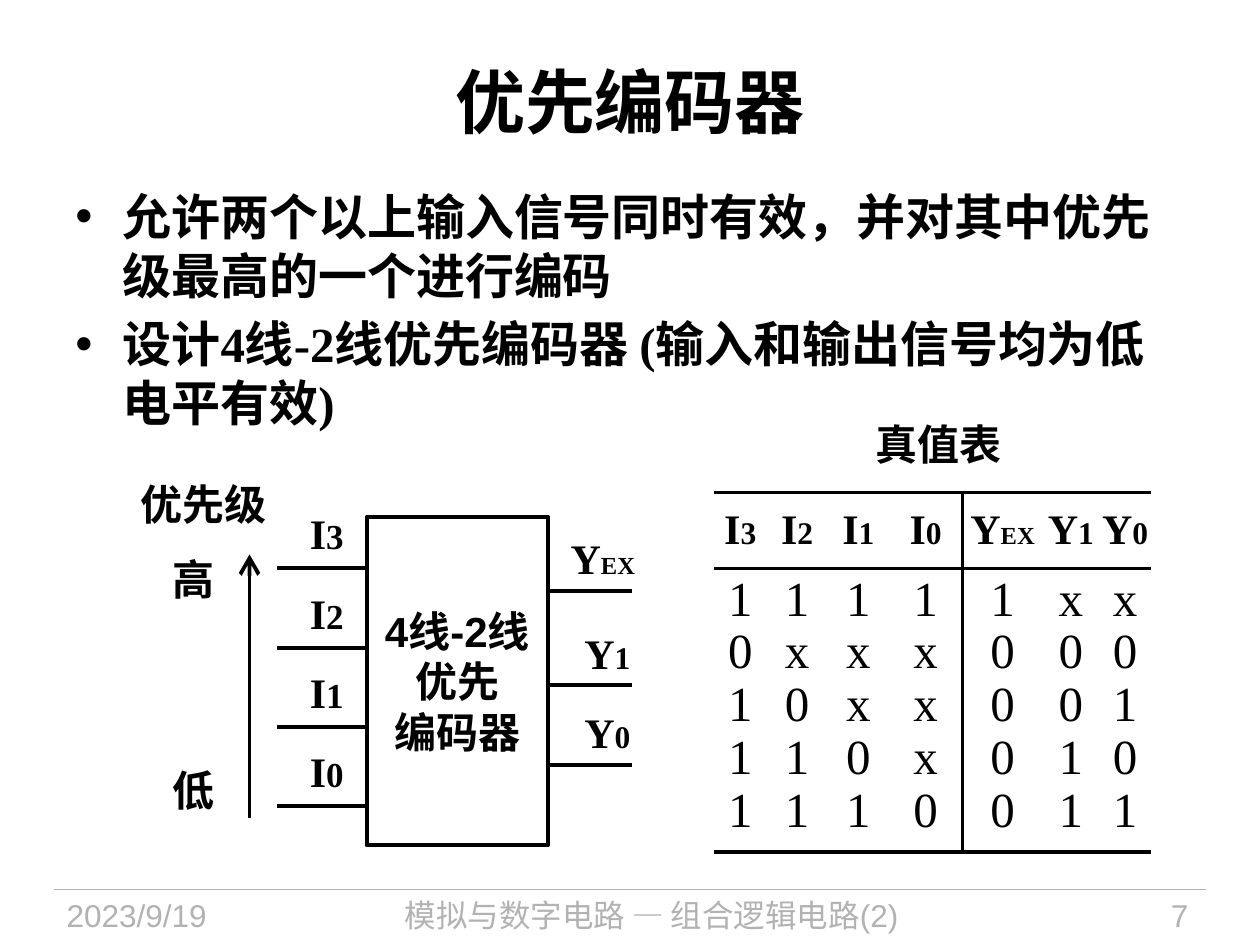
from dataclasses import dataclass

from lxml.etree import SubElement
from pptx import Presentation
from pptx.dml.color import RGBColor
from pptx.enum.shapes import MSO_CONNECTOR, MSO_SHAPE
from pptx.enum.text import MSO_ANCHOR, PP_ALIGN
from pptx.oxml import parse_xml
from pptx.oxml.ns import nsdecls, qn
from pptx.util import Pt


@dataclass(frozen=True)
class Theme:
    ink: RGBColor = RGBColor(0x00, 0x00, 0x00)
    muted: RGBColor = RGBColor(0xB2, 0xB2, 0xB2)
    sans: str = "Arial"
    serif: str = "Times New Roman"
    title: int = 40
    body: int = 28
    label: int = 24
    pin_digit: int = 20
    digit: int = 18
    letters: int = 14
    footer: int = 18
    stroke: float = 2.25
    hairline: float = 0.75


class SlideBuilder:
    def __init__(self, slide, theme):
        self.slide = slide
        self.theme = theme

    def style(self, paragraph, size, font, bold=True, color=None, align=PP_ALIGN.LEFT):
        paragraph.alignment = align
        paragraph.font.size = Pt(size)
        paragraph.font.name = font
        paragraph.font.bold = bold
        paragraph.font.color.rgb = color or self.theme.ink

    def signal(self, paragraph, name, subscript, size, align=PP_ALIGN.LEFT):
        """Write a signal name followed by its smaller index."""
        self.style(paragraph, self.theme.label, self.theme.serif, align=align)
        paragraph.add_run().text = name
        index = paragraph.add_run()
        index.text = subscript
        index.font.size = Pt(size)

    def frame(self, x, y, width, height, wrap=False):
        box = self.slide.shapes.add_textbox(Pt(x), Pt(y), Pt(width), Pt(height))
        box.text_frame.word_wrap = wrap
        return box.text_frame

    def text(self, words, x, y, width, height, size, wrap=False,
             anchor=MSO_ANCHOR.TOP, **style):
        frame = self.frame(x, y, width, height, wrap)
        frame.vertical_anchor = anchor
        frame.text = words
        self.style(frame.paragraphs[0], size, self.theme.sans, **style)

    def bullets(self, items, x, y, width, height):
        frame = self.frame(x, y, width, height, wrap=True)
        frame.text = "\n".join(items)
        for paragraph in frame.paragraphs:
            self.style(paragraph, self.theme.body, self.theme.serif)
            paragraph.space_after = Pt(5.6)
            properties = paragraph._p.get_or_add_pPr()
            properties.set("marL", str(Pt(27)))
            properties.set("indent", str(-Pt(27)))
            defaults = properties.find(qn("a:defRPr"))
            for mark in (f'buFont {nsdecls("a")} typeface="{self.theme.sans}"',
                         f'buChar {nsdecls("a")} char="•"'):
                defaults.addprevious(parse_xml(f"<a:{mark}/>"))

    def line(self, x1, y1, x2, y2, color=None, width=None, arrow=False):
        line = self.slide.shapes.add_connector(
            MSO_CONNECTOR.STRAIGHT, Pt(x1), Pt(y1), Pt(x2), Pt(y2))
        line.line.color.rgb = color or self.theme.ink
        line.line.width = Pt(width or self.theme.stroke)
        if arrow:
            SubElement(line.line._get_or_add_ln(), qn("a:tailEnd"),
                       type="arrow", w="lg", len="lg")
        SubElement(line._element.spPr, qn("a:effectLst"))

    def block(self, lines, x, y, width, height):
        block = self.slide.shapes.add_shape(
            MSO_SHAPE.RECTANGLE, Pt(x), Pt(y), Pt(width), Pt(height))
        block.shadow.inherit = False
        block.fill.background()
        block.line.color.rgb = self.theme.ink
        block.line.width = Pt(self.theme.stroke)
        frame = block.text_frame
        frame.word_wrap = False
        frame.vertical_anchor = MSO_ANCHOR.MIDDLE
        frame.text = "\n".join(lines)
        for paragraph in frame.paragraphs:
            self.style(paragraph, self.theme.label, self.theme.sans, align=PP_ALIGN.CENTER)

    def borders(self, cell, drawn):
        """Rule the named sides (L, R, T, B) of a cell and clear the others."""
        properties = cell._tc.get_or_add_tcPr()
        for position, side in enumerate("LRTB"):
            paint = (f'<a:solidFill><a:srgbClr val="{self.theme.ink}"/></a:solidFill>'
                     if side in drawn else "<a:noFill/>")
            properties.insert(position, parse_xml(
                f'<a:ln{side} {nsdecls("a")} w="{Pt(self.theme.stroke)}">{paint}</a:ln{side}>'))

    def truth_table(self, signals, rows, inputs, x, y, widths, heights):
        table = self.slide.shapes.add_table(
            len(heights), len(widths), Pt(x), Pt(y),
            Pt(sum(widths)), Pt(sum(heights))).table
        table.first_row = table.horz_banding = False
        for column, width in zip(table.columns, widths):
            column.width = Pt(width)
        for row, height in zip(table.rows, heights):
            row.height = Pt(height)
        last = len(rows)
        for r, values in enumerate([signals, *rows]):
            for c, value in enumerate(values):
                cell = table.cell(r, c)
                cell.margin_left = cell.margin_right = cell.margin_bottom = 0
                cell.margin_top = Pt(5 if r == 1 else 0)
                cell.fill.background()
                self.borders(cell, {
                    side for side, shown in (
                        ("L", c == inputs), ("R", c == inputs - 1),
                        ("T", r in (0, 1)), ("B", r in (0, last))) if shown})
                paragraph = cell.text_frame.paragraphs[0]
                if r == 0:
                    cell.vertical_anchor = MSO_ANCHOR.MIDDLE
                    self.signal(paragraph, *value, align=PP_ALIGN.CENTER)
                else:
                    paragraph.add_run().text = value
                    self.style(paragraph, self.theme.body, self.theme.serif,
                               bold=False, align=PP_ALIGN.CENTER)
                    paragraph.line_spacing = 0.9


def add_footer(page, theme):
    top = 508.3
    page.line(31, top, 689, top, theme.muted, theme.hairline)
    for words, x, width, align in (
            ("2023/9/19", 31, 135.4, PP_ALIGN.LEFT),
            ("模拟与数字电路 — 组合逻辑电路(2)", 179.3, 386, PP_ALIGN.CENTER),
            ("7", 590.4, 95.8, PP_ALIGN.RIGHT)):
        page.text(words, x, top, width, 31.7, theme.footer, wrap=True,
                  bold=False, color=theme.muted, align=align)


def add_encoder(page, theme):
    left, right = 209.5, 313.2
    page.block(["4线-2线", "优先", "编码器"], left, 295.2, right - left, 187.9)
    for step, index in enumerate("3210"):
        y = 324.7 + 45.36 * step
        page.line(158.4, y, left, y)
        pin = page.frame(170, y - 38.1, 33.8, 36)
        page.signal(pin.paragraphs[0], "I", index, theme.pin_digit)
    for index, y, x, width, size in (
            ("EX", 337.7, 319, 51, theme.letters),
            ("1", 391.7, 326.9, 41, theme.digit),
            ("0", 437, 326.9, 41, theme.digit)):
        page.line(right, y, 361.4, y)
        pin = page.frame(x, y - 36.7, width, 36)
        page.signal(pin.paragraphs[0], "Y", index, size)
    page.line(142.6, 467.3, 142.6, 316.8, arrow=True)
    page.text("优先级", 73.4, 270, 87, 36, theme.label)
    for level, y in (("高", 312.5), ("低", 433.4)):
        page.text(level, 91.4, y, 39, 36, theme.label)


def add_truth_table(page, theme):
    page.text("真值表", 493.2, 235.4, 87, 36, theme.label)
    signals = [("I", index, theme.digit) for index in "3210"]
    signals += [("Y", "EX", theme.letters), ("Y", "1", theme.digit), ("Y", "0", theme.digit)]
    rows = ["11111xx", "0xxx000", "10xx001", "110x010", "1110011"]
    page.truth_table(signals, rows, inputs=4, x=408, y=281.5,
                     widths=[30, 35, 35, 42, 46, 32, 30],
                     heights=[43.2, 34.5, 30, 30, 30, 36.1])


def main():
    deck = Presentation()
    deck.slide_width, deck.slide_height = Pt(720), Pt(540)
    theme = Theme()
    page = SlideBuilder(deck.slides.add_slide(deck.slide_layouts[6]), theme)
    add_footer(page, theme)
    page.text("优先编码器", 36, 12.2, 648, 90, theme.title, wrap=True,
              anchor=MSO_ANCHOR.MIDDLE, align=PP_ALIGN.CENTER)
    page.bullets(["允许两个以上输入信号同时有效，并对其中优先级最高的一个进行编码",
                  "设计4线-2线优先编码器 (输入和输出信号均为低电平有效)"],
                 36, 103, 648, 158.4)
    add_encoder(page, theme)
    add_truth_table(page, theme)
    deck.save("out.pptx")


if __name__ == "__main__":
    main()
